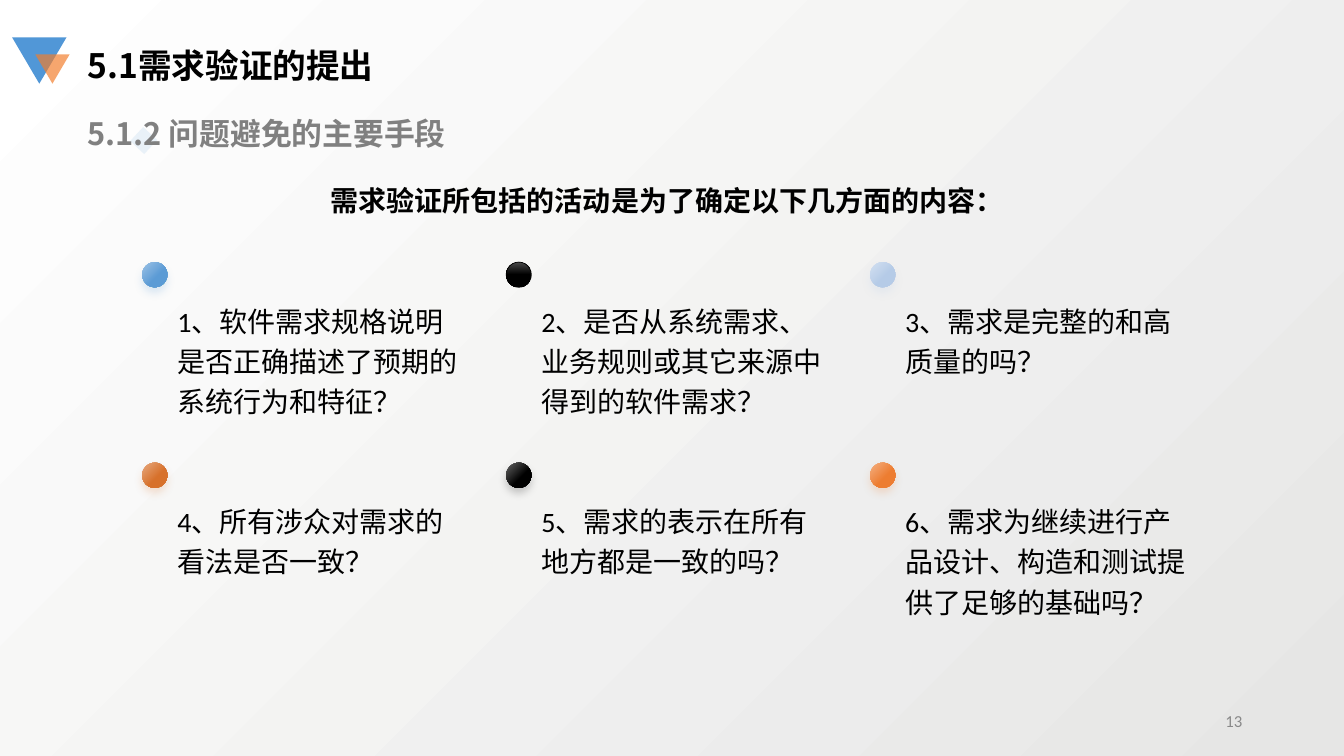
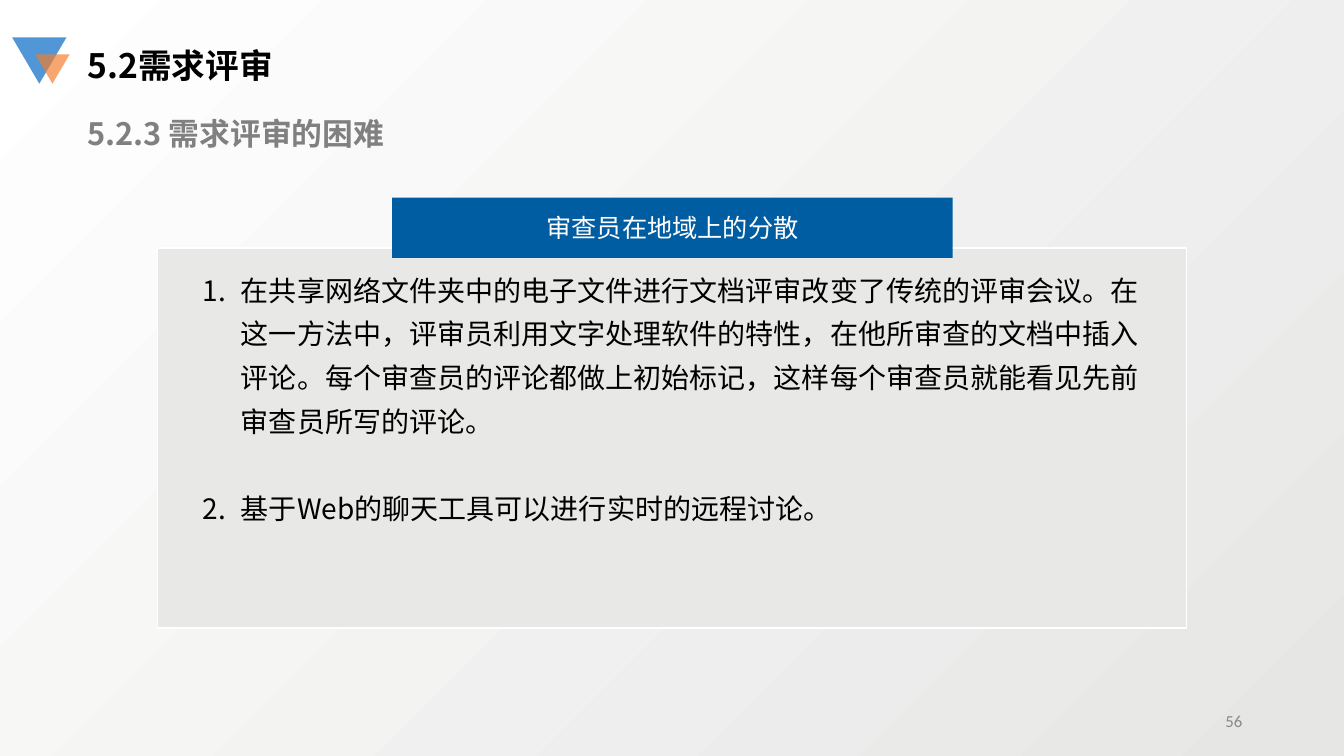
from dataclasses import dataclass

from lxml import etree
from pptx import Presentation
from pptx import util as u
from pptx.dml import color as dml
from pptx.enum import lang, shapes, text
from pptx.oxml import ns


@dataclass(frozen=True)
class Theme:
    cjk: str = "Noto Sans CJK SC"
    latin: str = "Calibri"
    black: str = "000000"
    white: str = "FFFFFF"
    grey: str = "808080"
    number: str = "898989"
    back: tuple = ("E6E6E5", "FFFFFF")
    blue: str = "5197D7"
    orange: str = "F37D2A"
    pale: str = "BBD6EE"
    panel: str = "E8E8E6"
    banner: str = "005DA2"
    title_size: int = 24
    subtitle_size: int = 22
    body_size: int = 20
    banner_size: int = 18
    number_size: int = 12


THEME = Theme()

# Content
AVOIDANCE = {
    "title": "5.1需求验证的提出",
    "subtitle": "5.1.2 问题避免的主要手段",
    "number": "13",
    "lead": "需求验证所包括的活动是为了确定以下几方面的内容：",
}
# Question, light colour, main colour
QUESTIONS = [
    ("1、软件需求规格说明是否正确描述了预期的系统行为和特征？", "9DC3E6", "5B9BD5"),
    ("2、是否从系统需求、业务规则或其它来源中得到的软件需求？", "4B4B4B", "000000"),
    ("3、需求是完整的和高质量的吗？", "D3E0F1", "B5CBE7"),
    ("4、所有涉众对需求的看法是否一致？", "E7AA80", "D7712B"),
    ("5、需求的表示在所有地方都是一致的吗？", "666666", "000000"),
    ("6、需求为继续进行产品设计、构造和测试提供了足够的基础吗？", "F4B183", "ED7D31"),
]
GLOSSY = 1  # the question whose dot is outlined and lit from above
DIFFICULTY = {
    "title": "5.2需求评审",
    "subtitle": "5.2.3 需求评审的困难",
    "number": "56",
    "banner": "审查员在地域上的分散",
    "items": [
        "在共享网络文件夹中的电子文件进行文档评审改变了传统的评审会议。"
        "在这一方法中，评审员利用文字处理软件的特性，在他所审查的文档中插入评论。"
        "每个审查员的评论都做上初始标记，这样每个审查员就能看见先前审查员所写的评论。",
        "基于Web的聊天工具可以进行实时的远程讨论。",
    ],
}


# Helpers
def rgb(value):
    return dml.RGBColor.from_string(value)


def add_xml(parent, tag, **attributes):
    return etree.SubElement(parent, ns.qn(tag), attributes)


def place(shape, area):
    shape.left, shape.top, shape.width, shape.height = map(u.Inches, area)


def write(shape, lines, size=THEME.body_size, color=THEME.black, font=THEME.cjk,
          bold=False, align=text.PP_ALIGN.LEFT, anchor=text.MSO_ANCHOR.TOP,
          spacing=1.0, gap=0, numbered=False):
    """Fill a shape with one formatted paragraph per line."""
    frame = shape.text_frame
    frame.word_wrap = True
    frame.auto_size = text.MSO_AUTO_SIZE.NONE
    frame.vertical_anchor = anchor
    for index, line in enumerate(lines):
        para = frame.add_paragraph() if index else frame.paragraphs[0]
        para.alignment = align
        para.line_spacing = spacing
        para.space_before = u.Pt(gap if index else 0)
        para.space_after = u.Pt(0)
        span = para.add_run()
        span.text = line
        span.font.size, span.font.bold, span.font.name = u.Pt(size), bold, font
        span.font.color.rgb = rgb(color)
        span.font.language_id = lang.MSO_LANGUAGE_ID.SIMPLIFIED_CHINESE
        add_xml(span.font._element, "a:ea", typeface=THEME.cjk)
        if numbered:
            props = para._p.get_or_add_pPr()
            props.set("marL", str(u.Inches(0.38)))
            props.set("indent", str(u.Inches(-0.38)))
            add_xml(props, "a:buFont", typeface=THEME.cjk)
            add_xml(props, "a:buAutoNum", type="arabicPeriod")


def add_text(page, area, line, **style):
    box = page.shapes.add_textbox(*map(u.Inches, area))
    write(box, [line], **style)
    return box


def set_gradient(fill, colors, angle, end=1.0):
    """Two-colour gradient; the angle runs clockwise."""
    fill.gradient()
    fill.gradient_angle = (360 - angle) % 360
    for stop, value, position in zip(fill.gradient_stops, colors, (0, end)):
        stop.color.rgb = rgb(value)
        stop.position = position


def add_shape(page, kind, area, fill=None, line=None, width=1, opacity=100, rotation=0):
    shape = page.shapes.add_shape(kind, *map(u.Inches, area))
    shape.shadow.inherit = False
    shape.rotation = rotation
    if fill:
        shape.fill.solid()
        shape.fill.fore_color.rgb = rgb(fill)
        if opacity < 100:
            solid = shape.element.spPr.find(ns.qn("a:solidFill"))
            add_xml(solid[0], "a:alpha", val=str(opacity * 1000))
    if line:
        shape.line.color.rgb = rgb(line)
        shape.line.width = u.Pt(width)
    else:
        shape.line.fill.background()
    return shape


def add_glow(shape, color):
    effects = shape.element.spPr.find(ns.qn("a:effectLst"))
    shadow = add_xml(effects, "a:outerShdw", blurRad=str(u.Pt(6)), dist=str(u.Pt(4)),
                     dir="5400000", algn="t", rotWithShape="0")
    tone = add_xml(shadow, "a:srgbClr", val=color)
    add_xml(tone, "a:alpha", val="20000")


# Shared frame: title, corner triangles, subtitle, page number
def add_page(deck, layout, content):
    page = deck.slides.add_slide(deck.slide_layouts.get_by_name(layout))
    place(page.shapes.title, (0.77, 0.4, 3.35, 0.5))
    write(page.shapes.title, [content["title"]], size=THEME.title_size, bold=True)
    triangle = shapes.MSO_SHAPE.ISOSCELES_TRIANGLE
    add_shape(page, triangle, (0.12, 0.37, 0.54, 0.46), THEME.blue, rotation=180)
    add_shape(page, triangle, (0.35, 0.54, 0.34, 0.29), THEME.orange,
              opacity=68, rotation=180)
    add_text(page, (0.77, 1.09, 4.58, 0.47), content["subtitle"],
             size=THEME.subtitle_size, color=THEME.grey, bold=True)
    add_text(page, (9.42, 6.95, 3, 0.4), content["number"], size=THEME.number_size,
             color=THEME.number, font=THEME.latin, align=text.PP_ALIGN.RIGHT,
             anchor=text.MSO_ANCHOR.MIDDLE)
    return page


# Six questions in a grid of three columns
def add_avoidance(deck):
    page = add_page(deck, "Title Only", AVOIDANCE)
    diamond = add_shape(page, shapes.MSO_SHAPE.RECTANGLE, (1.33, 1.3, 0.19, 0.19),
                        THEME.pale, opacity=30, rotation=42.9)
    page.shapes.title.element.addnext(diamond.element)
    add_text(page, (3.18, 1.6, 6.96, 0.53), AVOIDANCE["lead"], bold=True, spacing=1.5)
    size = 0.25
    for index, (question, light, main) in enumerate(QUESTIONS):
        row, column = divmod(index, 3)
        left, top = 1.41 + column * 3.61, 2.6 + row * 1.99
        glossy = index == GLOSSY
        dot = add_shape(page, shapes.MSO_SHAPE.OVAL, (left, top, size, size),
                        line=main if glossy else None, width=0.5)
        set_gradient(dot.fill, (light, main), 90 if glossy else 45, 0.5 if glossy else 0.6)
        if not glossy:
            add_glow(dot, main)
        add_text(page, (left + size, top + 0.3, 3.05, 1.28), question,
                 font=THEME.latin, spacing=1.2)


# Numbered list on a panel with a banner
def add_difficulty(deck):
    page = add_page(deck, "Title and Content", DIFFICULTY)
    rectangle = shapes.MSO_SHAPE.RECTANGLE
    add_shape(page, rectangle, (1.56, 2.46, 10.21, 3.77), THEME.panel, line=THEME.white)
    banner = add_shape(page, rectangle, (3.89, 1.96, 5.56, 0.6), THEME.banner)
    write(banner, [DIFFICULTY["banner"]], size=THEME.banner_size, color=THEME.white,
          align=text.PP_ALIGN.CENTER, anchor=text.MSO_ANCHOR.MIDDLE)
    body = page.placeholders[1]
    place(body, (1.91, 2.56, 9.55, 2.66))
    write(body, DIFFICULTY["items"], spacing=1.3, gap=31, numbered=True)
    banner.element.addnext(body.element)


def main():
    deck = Presentation()
    deck.slide_width, deck.slide_height = u.Inches(13.33), u.Inches(7.5)
    set_gradient(deck.slide_master.background.fill, THEME.back, 225)
    add_avoidance(deck)
    add_difficulty(deck)
    deck.save("out.pptx")


if __name__ == "__main__":
    main()
